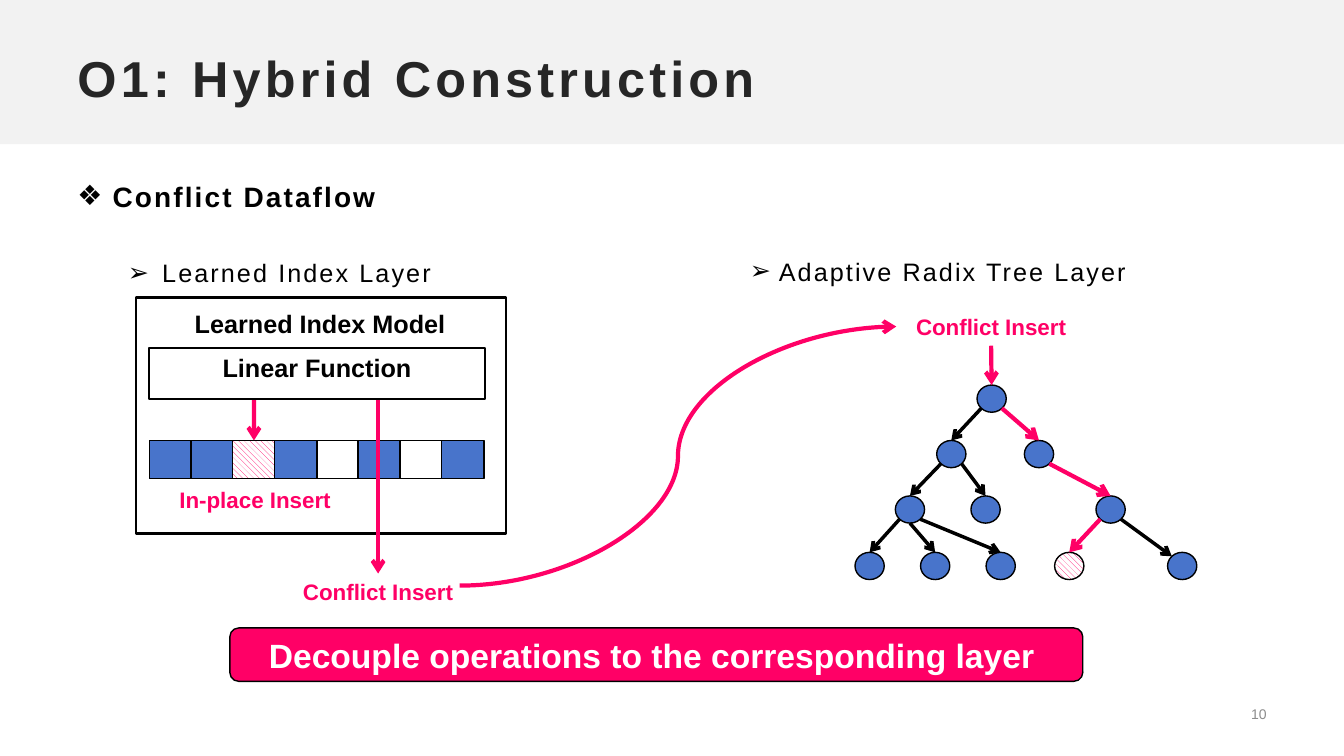
from dataclasses import dataclass
from math import cos, radians, sin

from lxml.etree import SubElement
from pptx import Presentation
from pptx.dml.color import RGBColor
from pptx.enum.dml import MSO_PATTERN
from pptx.enum.shapes import MSO_CONNECTOR, MSO_SHAPE
from pptx.enum.text import MSO_ANCHOR, PP_ALIGN
from pptx.oxml.ns import qn
from pptx.util import Inches, Pt


@dataclass(frozen=True)
class Theme:
    font: str = "Arial"
    black: str = "000000"
    white: str = "FFFFFF"
    title: str = "262626"
    band: str = "F2F2F2"
    muted: str = "8C8C8C"
    blue: str = "4874CB"
    pink: str = "FF0066"
    title_size: int = 36
    banner_size: int = 24
    heading_size: int = 20
    body_size: int = 18
    label_size: int = 16
    number_size: int = 10


HATCH = "hatch"


class SlideBuilder:
    def __init__(self, slide, theme):
        self.slide = slide
        self.theme = theme

    def shape(self, kind, box, fill=None, line=None):
        shape = self.slide.shapes.add_shape(kind, *map(Inches, box))
        shape.shadow.inherit = False
        if fill == HATCH:
            shape.fill.patterned()
            shape.fill.pattern = MSO_PATTERN.WIDE_DOWNWARD_DIAGONAL
            shape.fill.fore_color.rgb = RGBColor.from_string(self.theme.pink)
            shape.fill.back_color.rgb = RGBColor.from_string(self.theme.white)
        elif fill:
            shape.fill.solid()
            shape.fill.fore_color.rgb = RGBColor.from_string(fill)
        else:
            shape.fill.background()
        if line:
            shape.line.color.rgb = RGBColor.from_string(self.theme.black)
            shape.line.width = Pt(line)
        else:
            shape.line.fill.background()
        return shape

    def text_box(self, box):
        text_box = self.slide.shapes.add_textbox(*map(Inches, box))
        text_box.text_frame.word_wrap = True
        return text_box

    def text_run(self, paragraph, text, size, color, bold=False, spacing=0):
        run = paragraph.add_run()
        run.text = text
        run.font.name = self.theme.font
        run.font.size = Pt(size)
        run.font.bold = bold
        run.font.color.rgb = RGBColor.from_string(color)
        if spacing:
            run._r.get_or_add_rPr().set("spc", str(int(spacing * 100)))

    def caption(self, shape, text, size, color, bold=True, spacing=0,
                align=PP_ALIGN.CENTER, anchor=MSO_ANCHOR.TOP):
        shape.text_frame.vertical_anchor = anchor
        paragraph = shape.text_frame.paragraphs[0]
        paragraph.alignment = align
        self.text_run(paragraph, text, size, color, bold, spacing)
        return shape

    def bullet(self, paragraph, mark, text, size, margin, indent,
               line_spacing, after, bold=False, level=0):
        properties = paragraph._p.get_or_add_pPr()
        properties.set("marL", str(Inches(margin)))
        properties.set("indent", str(Inches(indent)))
        SubElement(properties, qn("a:buFont"), typeface=self.theme.font)
        SubElement(properties, qn("a:buChar"), char=mark)
        paragraph.level = level
        paragraph.line_spacing = line_spacing
        paragraph.space_after = Pt(after)
        self.text_run(paragraph, text, size, self.theme.black, bold, 1.5)

    def arrow(self, start, end, color, width=3, kind=MSO_CONNECTOR.STRAIGHT):
        connector = self.slide.shapes.add_connector(kind, *map(Inches, (*start, *end)))
        connector.line.color.rgb = RGBColor.from_string(color)
        connector.line.width = Pt(width)
        SubElement(connector.line._get_or_add_ln(), qn("a:tailEnd"), type="arrow")
        SubElement(connector._element.spPr, qn("a:effectLst"))
        return connector


def add_heading(builder):
    theme = builder.theme
    builder.shape(MSO_SHAPE.RECTANGLE, (0, 0, 13.33, 1.43), theme.band)
    builder.caption(builder.text_box((0.67, 0.38, 12, 0.77)), "O1: Hybrid Construction",
                    theme.title_size, theme.title, spacing=3,
                    align=PP_ALIGN.LEFT, anchor=MSO_ANCHOR.MIDDLE)
    builder.caption(builder.text_box((9.71, 6.91, 2.95, 0.35)), "10",
                    theme.number_size, theme.muted, bold=False,
                    align=PP_ALIGN.RIGHT, anchor=MSO_ANCHOR.MIDDLE)

    # Topic and layer names
    frame = builder.text_box((0.67, 1.63, 7.15, 1.74)).text_frame
    builder.bullet(frame.paragraphs[0], "❖", " Conflict Dataflow", theme.heading_size,
                   0.25, -0.25, 1.3, 10, bold=True)
    builder.bullet(frame.add_paragraph(), "➢", " Learned Index Layer", theme.body_size,
                   0.75, -0.25, 2.0, 6, level=1)
    frame = builder.text_box((6.84, 2.19, 5.53, 2.07)).text_frame
    builder.bullet(frame.paragraphs[0], "➢", " Adaptive Radix Tree Layer", theme.body_size,
                   0.5, 0, 2.0, 6, level=1)


def add_learned_index(builder):
    theme = builder.theme
    builder.shape(MSO_SHAPE.RECTANGLE, (1.35, 2.95, 3.67, 2.34), line=2)
    builder.caption(builder.text_box((1.51, 3.01, 3.33, 0.4)), "Learned Index Model",
                    theme.body_size, theme.black)
    function = builder.shape(MSO_SHAPE.RECTANGLE, (1.48, 3.45, 3.33, 0.51), line=1.5)
    builder.caption(function, "Linear Function", theme.body_size, theme.black)

    # Array slots
    left, pitch = 1.48, 2.9 / 7
    fills = [theme.blue, theme.blue, HATCH, theme.blue, None, theme.blue, None, theme.blue]
    slots = [builder.shape(MSO_SHAPE.RECTANGLE, (left + index * pitch, 4.37, 0.42, 0.38), fill, 1)
             for index, fill in enumerate(fills)]

    # Insert paths
    builder.caption(builder.text_box((1.37, 4.77, 2.32, 0.37)), "In-place Insert",
                    theme.label_size, theme.pink)
    conflict = builder.caption(builder.text_box((2.59, 5.69, 2.32, 0.37)), "Conflict Insert",
                               theme.label_size, theme.pink)
    builder.arrow((2.52, 3.97), (2.52, 4.37), theme.pink).end_connect(slots[2], 0)
    builder.arrow((3.75, 3.97), (3.75, 5.69), theme.pink).end_connect(conflict, 0)


def add_radix_tree(builder):
    theme = builder.theme
    width, height = 0.29, 0.27
    rows = [3.82, 4.37, 4.92, 5.48]
    # Name: (left edge, row)
    places = {
        "root": (9.69, 0),
        "left": (9.29, 1), "right": (10.16, 1),
        "left low": (8.88, 2), "left leaf": (9.63, 2), "right low": (10.87, 2),
        "leaf 1": (8.48, 3), "leaf 2": (9.13, 3), "leaf 3": (9.78, 3),
        "target": (10.46, 3), "leaf 4": (11.58, 3),
    }
    nodes = {name: builder.shape(MSO_SHAPE.OVAL, (x, rows[row], width, height),
                                 HATCH if name == "target" else theme.blue, 1)
             for name, (x, row) in places.items()}

    def rim(name, angle):
        x, row = places[name]
        return (x + width / 2 * (1 + cos(radians(angle))),
                rows[row] + height / 2 * (1 + sin(radians(angle))))

    # Edges leave a parent's lower rim and reach a child's upper rim
    lower_right, bottom, lower_left, upper_left, top = 45, 90, 135, 225, 270
    edges = [
        ("root", lower_left, "left", top), ("root", lower_right, "right", top),
        ("left", lower_left, "left low", top), ("left", lower_right, "left leaf", top),
        ("right", lower_right, "right low", top),
        ("left low", lower_left, "leaf 1", top), ("left low", bottom, "leaf 2", top),
        ("left low", lower_right, "leaf 3", top),
        ("right low", lower_left, "target", top),
        ("right low", lower_right, "leaf 4", upper_left),
    ]
    insert_path = {"right", "right low", "target"}
    for parent, start, child, end in edges:
        color, weight = (theme.pink, 3) if child in insert_path else (theme.black, 2.5)
        builder.arrow(rim(parent, start), rim(child, end), color, weight)

    # Conflict entry
    label = builder.caption(builder.text_box((8.89, 3.06, 1.88, 0.37)), "Conflict Insert",
                            theme.label_size, theme.pink)
    entry = builder.arrow((9.83, 3.43), (9.83, 3.82), theme.pink)
    entry.begin_connect(label, 2)
    entry.end_connect(nodes["root"], 0)


def main():
    presentation = Presentation()
    presentation.slide_width, presentation.slide_height = Inches(13.33), Inches(7.5)
    slide = presentation.slides.add_slide(presentation.slide_layouts[6])
    theme = Theme()
    builder = SlideBuilder(slide, theme)

    add_heading(builder)
    add_learned_index(builder)
    add_radix_tree(builder)

    # Flow between the layers and the conclusion
    builder.arrow((4.56, 5.81), (8.89, 3.24), theme.pink, kind=MSO_CONNECTOR.CURVE)
    banner = builder.shape(MSO_SHAPE.ROUNDED_RECTANGLE, (2.28, 6.23, 8.46, 0.53), theme.pink, 1)
    builder.caption(banner, "Decouple operations to the corresponding layer ",
                    theme.banner_size, theme.white, anchor=MSO_ANCHOR.MIDDLE)
    presentation.save("out.pptx")


if __name__ == "__main__":
    main()
